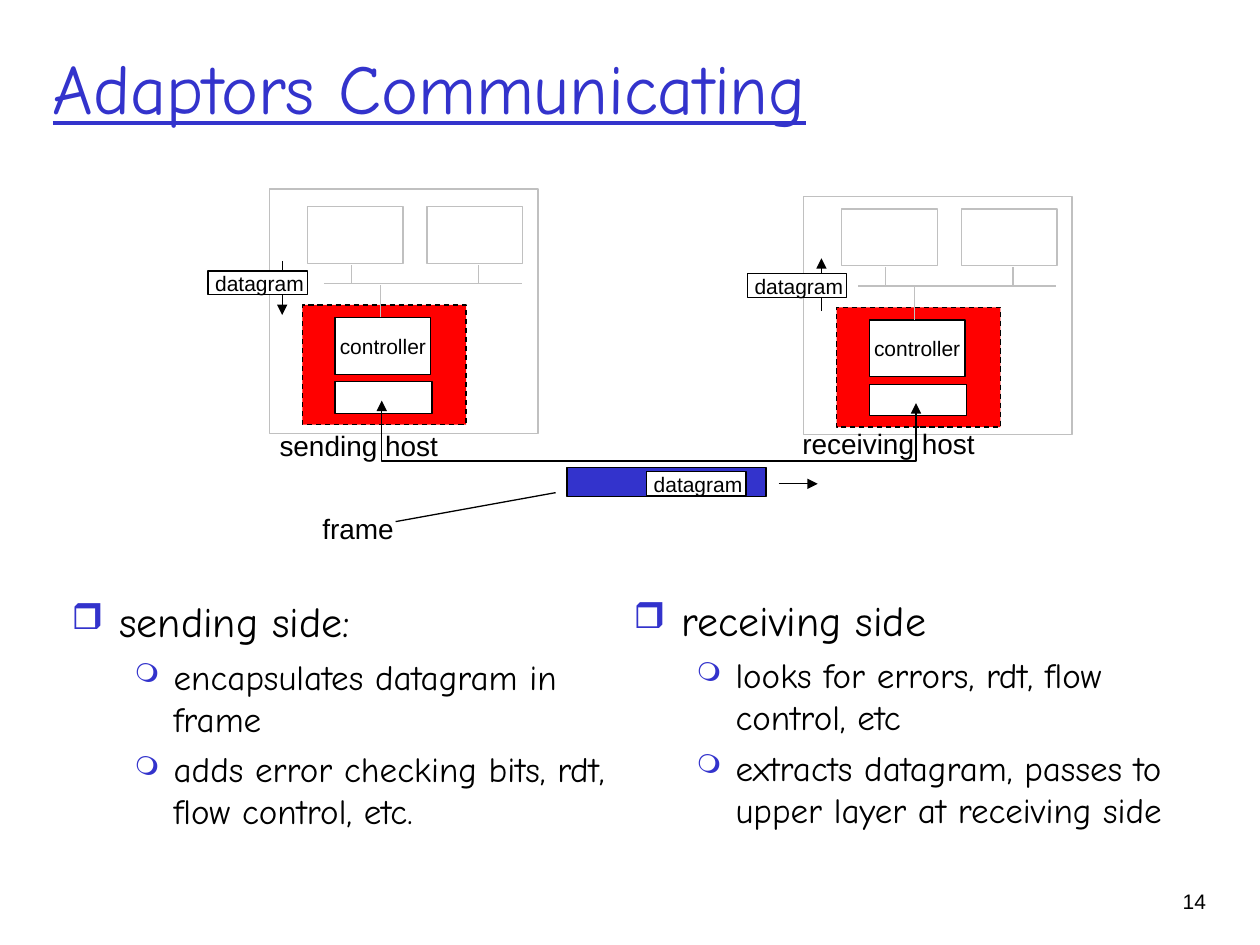
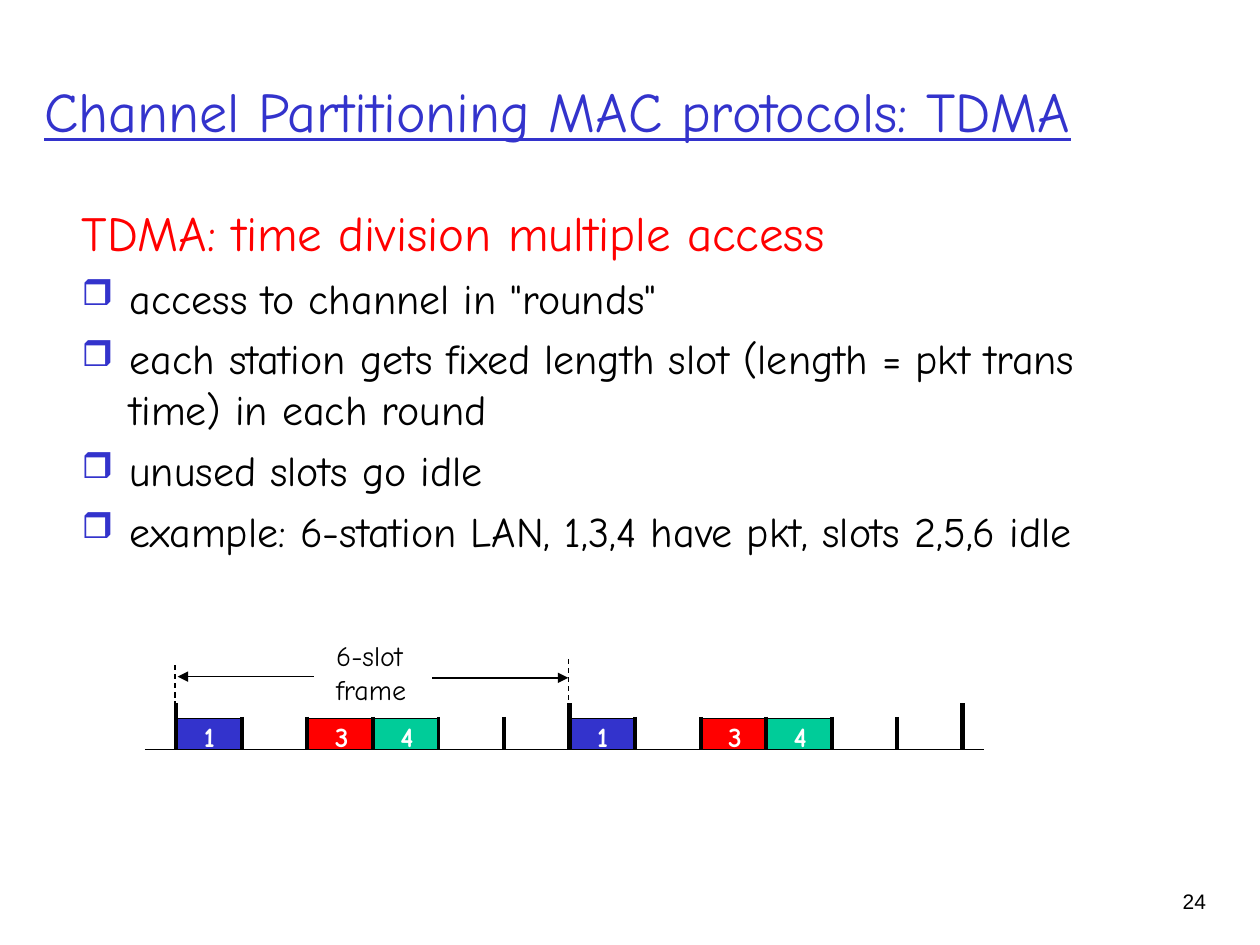
from lxml import etree
from pptx import Presentation
from pptx.dml.color import RGBColor
from pptx.enum.dml import MSO_LINE
from pptx.enum.shapes import MSO_CONNECTOR, MSO_SHAPE
from pptx.enum.text import MSO_ANCHOR, MSO_AUTO_SIZE, PP_ALIGN
from pptx.oxml.ns import qn
from pptx.util import Inches, Pt

LEFT, CENTER, RIGHT = PP_ALIGN.LEFT, PP_ALIGN.CENTER, PP_ALIGN.RIGHT
TOP, MIDDLE = MSO_ANCHOR.TOP, MSO_ANCHOR.MIDDLE
FIXED = MSO_AUTO_SIZE.NONE
DASH, RECT = MSO_LINE.DASH, MSO_SHAPE.RECTANGLE
STRAIGHT = MSO_CONNECTOR.STRAIGHT

BLUE, RED, GREEN = "3333CC", "FF0000", "00CC99"
BLACK, WHITE, GRAY = "000000", "FFFFFF", "C0C0C0"
SANS, COMIC = "Arial", "Comic Neue"

STYLES = {
    "head": dict(size=28, color=RED, gap=7, left=0.38, hang=0.38, mark=None),
    "main": dict(size=24, color=BLACK, gap=6, left=0.38, hang=0.38, mark=("❒", 85)),
    "sub": dict(size=20, color=BLACK, gap=5, left=0.81, hang=0.31, mark=("❍", 75)),
}

SEND = [
    ("main", "sending side:"),
    ("sub", "encapsulates datagram in frame"),
    ("sub", "adds error checking bits, rdt, flow control, etc."),
]
RECEIVE = [
    ("main", "receiving side"),
    ("sub", "looks for errors, rdt, flow control, etc"),
    ("sub", "extracts datagram, passes to upper layer at receiving side"),
]
TDMA = [
    ("head", "TDMA: time division multiple access"),
    ("main", 'access to channel in "rounds"'),
    ("main", "each station gets fixed length slot (length = pkt trans time) in each round"),
    ("main", "unused slots go idle"),
    ("main", "example: 6-station LAN, 1,3,4 have pkt, slots 2,5,6 idle"),
]

HOSTS = [
    dict(frame=(2.14, 1.5, 2.13, 1.94), shift=(0, 0), flow=(2.24, 2.07, 2.24, 2.5),
         gram=(1.61, 2.1), name=("sending host", 2.12, 3.35, 1.45)),
    dict(frame=(6.38, 1.56, 2.13, 1.89), shift=(4.24, 0.02), flow=(6.52, 2.47, 6.52, 2.05),
         gram=(5.89, 2.12), name=("receiving host", 6.27, 3.34, 1.57)),
]
CHIPS = [2.44, 3.39]
WIRES = [(2.57, 2.25, 4.14, 2.25), (3.02, 2.52, 3.02, 2.26),
         (2.79, 2.25, 2.79, 2.1), (3.8, 2.25, 3.8, 2.1)]
CABLE = [(3.03, 3.18), (3.03, 3.66), (7.27, 3.66), (7.27, 3.2)]

SLOTS = {1: BLUE, 3: RED, 4: GREEN}
ROUND, ROUNDS = 6, 2
START, STEP, BASE = 1.4, 0.52, 5.95


def rgb(code):
    return RGBColor.from_string(code)


def box_at(x, y, w, h):
    return [Inches(v) for v in (x, y, w, h)]


def add_run(para, text, size, color, font=SANS, **marks):
    run = para.add_run()
    run.text = text
    run.font.size, run.font.name = Pt(size), font
    run.font.color.rgb = rgb(color)
    for key, val in marks.items():
        setattr(run.font, key, val)


def set_line(line, color, width, dash=None):
    line.color.rgb = rgb(color)
    line.width = Pt(width)
    if dash:
        line.dash_style = dash


def add_tips(shape, *ends):
    ln = shape._element.spPr.find(qn("a:ln"))
    for end in ends:
        etree.SubElement(ln, qn("a:" + end), type="triangle")


def add_box(slide, place, fill, edge=BLACK, dash=None):
    box = slide.shapes.add_shape(RECT, *box_at(*place))
    box.shadow.inherit = False
    box.fill.solid()
    box.fill.fore_color.rgb = rgb(fill)
    set_line(box.line, edge, 0.75, dash)
    return box


def add_line(slide, ends, color=BLACK, width=0.75, dash=None, tip=False):
    line = slide.shapes.add_connector(STRAIGHT, *box_at(*ends))
    set_line(line.line, color, width, dash)
    if tip:
        add_tips(line, "tailEnd")
    etree.SubElement(line._element.spPr, qn("a:effectLst"))


def add_label(slide, place, lines, size, color=BLACK, font=SANS, **marks):
    frame = slide.shapes.add_textbox(*box_at(*place)).text_frame
    frame.word_wrap, frame.auto_size = True, FIXED
    frame.margin_right = 0
    for i, text in enumerate(lines):
        para = frame.add_paragraph() if i else frame.paragraphs[0]
        add_run(para, text, size, color, font, **marks)


def add_mark(para, left, hang, mark):
    props = para._p.get_or_add_pPr()
    props.set("marL", str(Inches(left)))
    props.set("indent", str(-Inches(hang)))
    if mark:
        sign, scale = mark
        tint = etree.SubElement(props, qn("a:buClr"))
        etree.SubElement(tint, qn("a:srgbClr"), val=BLUE)
        etree.SubElement(props, qn("a:buSzPct"), val=str(scale * 1000))
        etree.SubElement(props, qn("a:buChar"), char=sign)
    else:
        etree.SubElement(props, qn("a:buNone"))


def add_body(slide, place, items):
    frame = slide.shapes.add_textbox(*box_at(*place)).text_frame
    frame.word_wrap = True
    for i, (kind, text) in enumerate(items):
        style = STYLES[kind]
        para = frame.add_paragraph() if i else frame.paragraphs[0]
        add_mark(para, style["left"], style["hang"], style["mark"])
        para.space_before = Pt(style["gap"] if i else 0)
        add_run(para, text, style["size"], style["color"], COMIC)


def add_slide(deck, title, place, size, page):
    slide = deck.slides.add_slide(deck.slide_layouts[5])
    head = slide.shapes.title
    head.left, head.top, head.width, head.height = box_at(*place)
    frame = head.text_frame
    frame.word_wrap, frame.auto_size = True, FIXED
    frame.vertical_anchor = MIDDLE
    para = frame.paragraphs[0]
    para.alignment = LEFT
    add_run(para, title, size, BLUE, COMIC, underline=True)
    foot = slide.shapes.add_textbox(*box_at(8.93, 7, 0.74, 0.5)).text_frame
    foot.word_wrap, foot.vertical_anchor = True, TOP
    foot.paragraphs[0].alignment = RIGHT
    add_run(foot.paragraphs[0], str(page), 12, BLACK)
    return slide


def add_gram(slide, x, y):
    add_box(slide, (x + 0.04, y + 0.05, 0.79, 0.19), WHITE)
    add_label(slide, (x, y, 0.9, 0.3), ["datagram"], 12)


def add_host(slide, host):
    dx, dy = host["shift"]
    add_box(slide, host["frame"], WHITE, GRAY)
    add_line(slide, host["flow"], tip=True)
    add_box(slide, (2.4 + dx, 2.42 + dy, 1.3, 0.95), RED, dash=DASH)
    add_box(slide, (2.66 + dx, 3.03 + dy, 0.77, 0.25), WHITE)
    chip = add_box(slide, (2.66 + dx, 2.52 + dy, 0.76, 0.45), WHITE)
    chip.text_frame.word_wrap = False
    chip.text_frame.vertical_anchor = MIDDLE
    para = chip.text_frame.paragraphs[0]
    para.alignment = CENTER
    add_run(para, "controller", 12, BLACK)
    for x in CHIPS:
        add_box(slide, (x + dx, 1.64 + dy, 0.76, 0.45), WHITE, GRAY)
    for x, y, x2, y2 in WIRES:
        add_line(slide, (x + dx, y + dy, x2 + dx, y2 + dy), GRAY)
    name, x, y, w = host["name"]
    add_label(slide, (x, y, w, 0.37), [name], 16)
    add_gram(slide, *host["gram"])


def add_cable(slide):
    first, *rest = [(Inches(x), Inches(y)) for x, y in CABLE]
    path = slide.shapes.build_freeform(*first)
    path.add_line_segments(rest, close=False)
    cable = path.convert_to_shape()
    cable.shadow.inherit = False
    cable.fill.background()
    set_line(cable.line, BLACK, 0.75)
    add_tips(cable, "headEnd", "tailEnd")


def build_hosts(deck):
    slide = add_slide(deck, "Adaptors Communicating", (0.32, 0.06, 8.5, 1.25), 40, 14)
    add_body(slide, (0.47, 4.68, 4.45, 2.12), SEND)
    add_body(slide, (4.93, 4.67, 4.47, 2.02), RECEIVE)
    for host in HOSTS:
        add_host(slide, host)
    add_cable(slide)
    add_box(slide, (4.5, 3.71, 1.58, 0.23), BLUE)
    add_gram(slide, 5.09, 3.69)
    add_line(slide, (6.18, 3.84, 6.49, 3.84), tip=True)
    add_label(slide, (2.46, 4.01, 0.76, 0.37), ["frame"], 16)
    add_line(slide, (3.14, 4.14, 4.41, 3.91))


def build_slots(deck):
    slide = add_slide(deck, "Channel Partitioning MAC protocols: TDMA",
                      (0.25, 0.25, 9.44, 1.25), 32, 24)
    add_body(slide, (0.55, 1.56, 8.5, 3.2), TDMA)
    add_line(slide, (1.15, BASE, 7.81, BASE))
    for turn in range(ROUNDS):
        for slot, color in SLOTS.items():
            x = START + STEP * (turn * ROUND + slot - 1)
            add_box(slide, (x, 5.7, STEP, 0.25), color)
            add_label(slide, (x + 0.12, 5.66, 0.3, 0.37), [str(slot)], 16,
                      WHITE, COMIC, bold=True)
    for i in range(ROUND * ROUNDS + 1):
        x = START + STEP * i
        top = 5.69 if i % ROUND else 5.58
        width = 3 if i and i % ROUND == 0 else 2.25
        add_line(slide, (x, top, x, BASE), width=width)
    add_label(slide, (2.57, 5.02, 0.76, 0.64), ["6-slot", "frame"], 16, font=COMIC)
    add_line(slide, (3.43, 5.38, 4.51, 5.38), tip=True)
    add_line(slide, (2.49, 5.37, 1.41, 5.37), tip=True)
    for x, y in [(1.39, 5.28), (4.51, 5.23)]:
        add_line(slide, (x, y, x, y + 0.33), dash=DASH)


def main():
    deck = Presentation()
    deck.slide_width, deck.slide_height = Inches(10), Inches(7.5)
    build_hosts(deck)
    build_slots(deck)
    deck.save("out.pptx")


if __name__ == "__main__":
    main()
